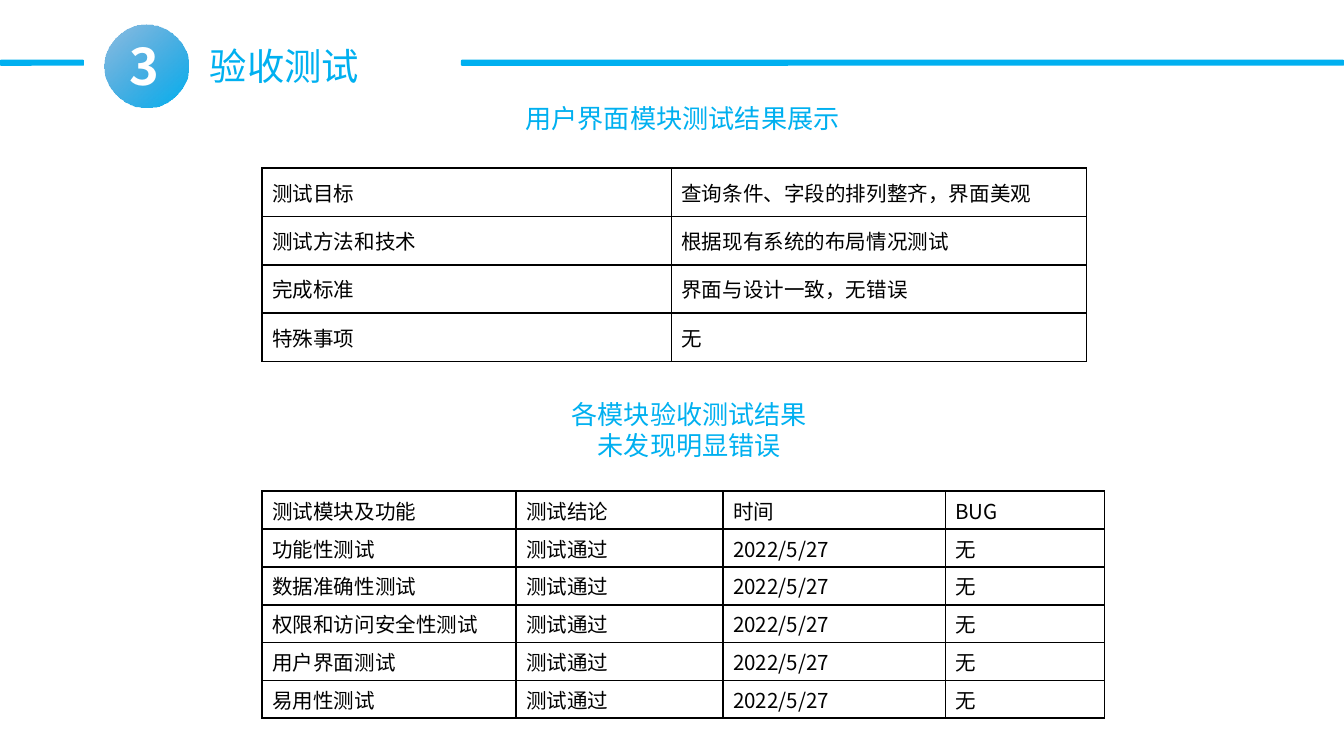
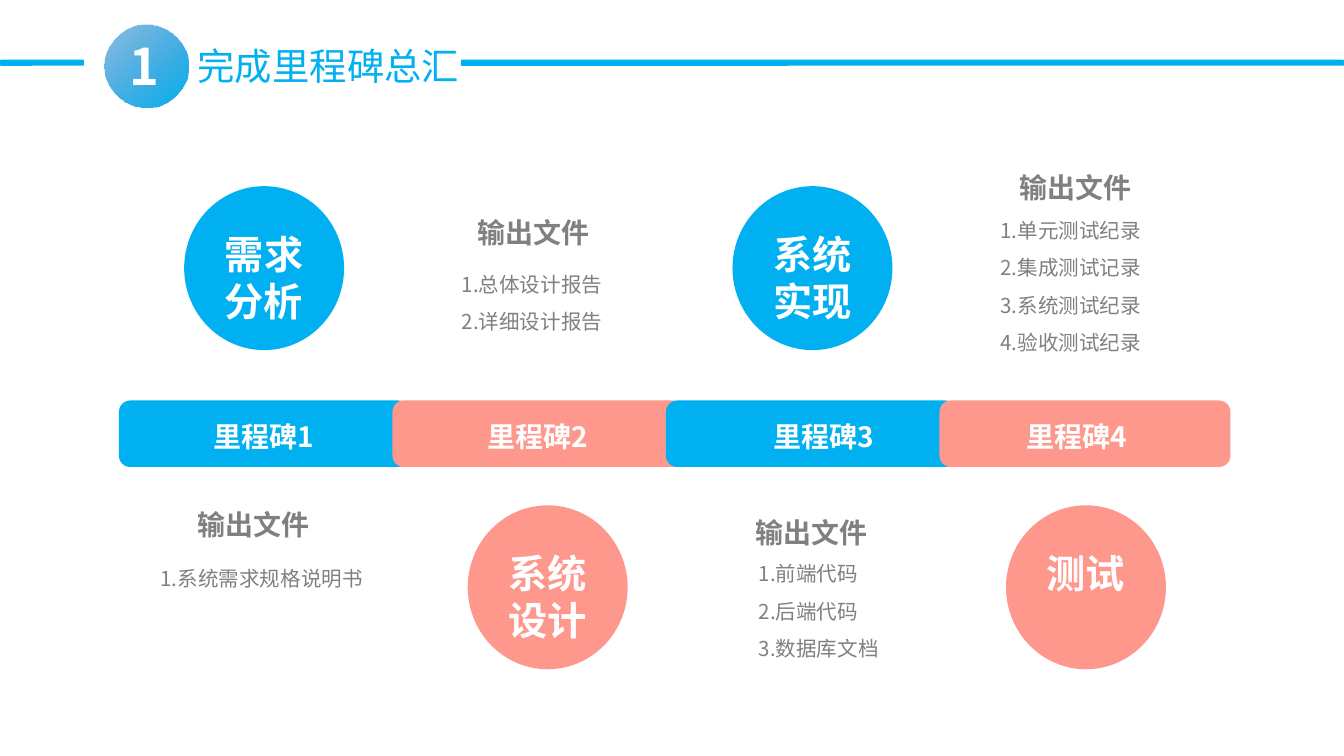
from collections import namedtuple

from lxml.etree import SubElement
from pptx import Presentation
from pptx.dml.color import RGBColor
from pptx.enum.shapes import MSO_SHAPE as Shape
from pptx.enum.text import MSO_ANCHOR as Anchor, MSO_AUTO_SIZE as AutoSize, PP_ALIGN as Align
from pptx.oxml import parse_xml
from pptx.oxml.ns import nsdecls, qn
from pptx.util import Emu, Pt

PX = 4572
FONT = "Noto Sans CJK SC"
COLOURS = {
    "blue": "00B0F0",
    "deep": "0070C0",
    "coral": "FE978C",
    "grey": "808080",
    "white": "FFFFFF",
    "black": "000000",
}

Box = namedtuple("Box", "x y w h")
Milestone = namedtuple("Milestone", "colour label stage circle heading files_at files")

INTERFACE_TEST = [
    ["测试目标", "查询条件、字段的排列整齐，界面美观"],
    ["测试方法和技术", "根据现有系统的布局情况测试"],
    ["完成标准", "界面与设计一致，无错误"],
    ["特殊事项", "无"],
]
TESTED = ["功能性测试", "数据准确性测试", "权限和访问安全性测试", "用户界面测试", "易用性测试"]
MODULE_RESULTS = [["测试模块及功能", "测试结论", "时间", "BUG"]] + [
    [module, "测试通过", "2022/5/27", "无"] for module in TESTED
]

MILESTONE_PITCH = 407
MILESTONES = [
    Milestone("blue", 82, "需求分析", (97, 277), (66, 756), (62, 851), ["系统需求规格说明书"]),
    Milestone("coral", 82, "系统设计", (112, 752), (76, 320), (103, 413),
              ["总体设计报告", "详细设计报告"]),
    Milestone("blue", 101, "系统实现", (99, 277), (83, 767), (138, 844),
              ["前端代码", "后端代码", "数据库文档"]),
    Milestone("coral", 70, "测试", (99, 752), (69, 254), (91, 333),
              ["单元测试纪录", "集成测试记录", "系统测试纪录", "验收测试纪录"]),
]


def emu(lengths):
    return [Emu(length * PX) for length in lengths]


def rgb(colour):
    return RGBColor.from_string(COLOURS[colour])


def style_text(paragraph, size, colour, bold=False, align=Align.LEFT):
    paragraph.alignment = align
    for run in paragraph.runs:
        run.font.size = Pt(size)
        run.font.bold = bold
        run.font.color.rgb = rgb(colour)
        run.font.name = FONT
        SubElement(run._r.get_or_add_rPr(), qn("a:ea")).set("typeface", FONT)


def add_text(slide, box, text, size, colour, bold=False, align=Align.CENTER, inset=0, wrap=True):
    frame = slide.shapes.add_textbox(*emu(box)).text_frame
    frame.text = text
    frame.word_wrap = wrap
    frame.auto_size = AutoSize.SHAPE_TO_FIT_TEXT
    frame.margin_left = frame.margin_right = Emu(inset * PX)
    frame.margin_top = frame.margin_bottom = Emu(inset * PX)
    for paragraph in frame.paragraphs:
        style_text(paragraph, size, colour, bold, align)
    return frame


def add_solid(slide, kind, box, colour):
    solid = slide.shapes.add_shape(kind, *emu(box))
    solid.shadow.inherit = False
    solid.fill.solid()
    solid.fill.fore_color.rgb = rgb(colour)
    solid.line.fill.background()
    if kind == Shape.ROUNDED_RECTANGLE:
        solid.adjustments[0] = 0.17
    return solid


def add_badge(slide, box, number):
    disc = add_solid(slide, Shape.OVAL, box, "blue")
    disc.fill.gradient()
    disc.fill.gradient_angle = 312
    for stop, colour, position in zip(disc.fill.gradient_stops, ("deep", "blue"), (0, 1)):
        stop.color.rgb = rgb(colour)
        stop.position = position
    first_colour = next(disc._element.spPr.iter(qn("a:srgbClr")))
    SubElement(first_colour, qn("a:alpha")).set("val", "44000")
    digit_box = Box(box.x - 40, box.y + 6, 198, 112)
    digit = add_text(slide, digit_box, number, 27, "white", True, inset=10)
    digit.paragraphs[0].runs[0]._r.get_or_add_rPr().set("spc", "-220")


def add_header(slide, box, number, title, title_box):
    add_text(slide, title_box, title, 20, "blue", align=Align.LEFT, inset=8, wrap=False)
    for left, right in ((686, box.w), (0, 125)):
        rule = Box(box.x + left, box.y + 89, right - left, 9)
        add_solid(slide, Shape.ROUNDED_RECTANGLE, rule, "blue")
    add_badge(slide, Box(box.x + 156, box.y + 36, 124, 124), number)


def outline_cell(cell):
    properties = cell._tc.get_or_add_tcPr()
    for index, side in enumerate(("lnL", "lnR", "lnT", "lnB")):
        border = parse_xml(
            f'<a:{side} {nsdecls("a")} w="12700"><a:solidFill>'
            f'<a:srgbClr val="{COLOURS["black"]}"/></a:solidFill></a:{side}>'
        )
        properties.insert(index, border)


def add_grid(slide, box, rows, widths):
    grid = slide.shapes.add_table(len(rows), len(widths), *emu(box)).table
    grid.first_row = grid.horz_banding = False
    for column, width in zip(grid.columns, widths):
        column.width = Emu(width * PX)
    for row, texts in zip(grid.rows, rows):
        for cell, text in zip(row.cells, texts):
            cell.text = text
            cell.fill.background()
            cell.vertical_anchor = Anchor.MIDDLE
            cell.margin_left = cell.margin_right = Emu(15 * PX)
            cell.margin_top = cell.margin_bottom = 0
            style_text(cell.text_frame.paragraphs[0], 11, "black", align=Align.JUSTIFY)
            outline_cell(cell)


def add_stage(slide, box, name, colour):
    add_solid(slide, Shape.OVAL, box, colour)
    name_height = 71 * len(name) // 2
    add_text(slide, Box(box.x + 56, box.y + 65, 126, name_height), name, 21, "white", True)


def add_files(slide, box, files):
    numbered = "\n".join(f"{number}.{file}" for number, file in enumerate(files, 1))
    listing = add_text(slide, box, numbered, 11, "grey", align=Align.JUSTIFY)
    for paragraph in listing.paragraphs:
        paragraph.line_spacing = Pt(10)
    for paragraph in listing.paragraphs[:-1]:
        paragraph.space_after = Pt(10)


def add_milestone(slide, box, number, milestone):
    def at(place, width, height):
        return Box(box.x + place[0], place[1], width, height)

    add_solid(slide, Shape.ROUNDED_RECTANGLE, box, milestone.colour)
    label_box = at((milestone.label, box.y + 28), 268, 50)
    add_text(slide, label_box, f"里程碑{number}", 15, "white", True)
    add_stage(slide, at(milestone.circle, 238, 244), milestone.stage, milestone.colour)
    add_text(slide, at(milestone.heading, 268, 50), "输出文件", 15, "grey", True)
    files_height = 56 * len(milestone.files) - 28
    add_files(slide, at(milestone.files_at, 312, files_height), milestone.files)


def build_acceptance(slide, page):
    add_header(slide, page, "3", "验收测试", Box(304, 56, 240, 82))
    add_text(slide, Box(776, 146, 482, 58), "用户界面模块测试结果展示", 14, "blue",
             align=Align.LEFT, inset=6, wrap=False)
    add_grid(slide, Box(390, 250, 1227, 288), INTERFACE_TEST, (609, 618))
    add_text(slide, Box(844, 587, 364, 106), "各模块验收测试结果\n未发现明显错误", 14, "blue",
             inset=6, wrap=False)
    add_grid(slide, Box(390, 731, 1254, 338), MODULE_RESULTS, (378, 308, 331, 237))


def build_milestones(slide, page):
    add_header(slide, page, "1", "完成里程碑总汇", Box(286, 56, 408, 82))
    for index, milestone in enumerate(MILESTONES):
        band = Box(page.x + 177 + index * MILESTONE_PITCH, page.y + 596, 433, 99)
        add_milestone(slide, band, index + 1, milestone)


def main():
    deck = Presentation()
    page = Box(0, 0, 2000, 1125)
    deck.slide_width, deck.slide_height = emu((page.w, page.h))
    for build in (build_acceptance, build_milestones):
        build(deck.slides.add_slide(deck.slide_layouts[6]), page)
    deck.save("out.pptx")


if __name__ == "__main__":
    main()
